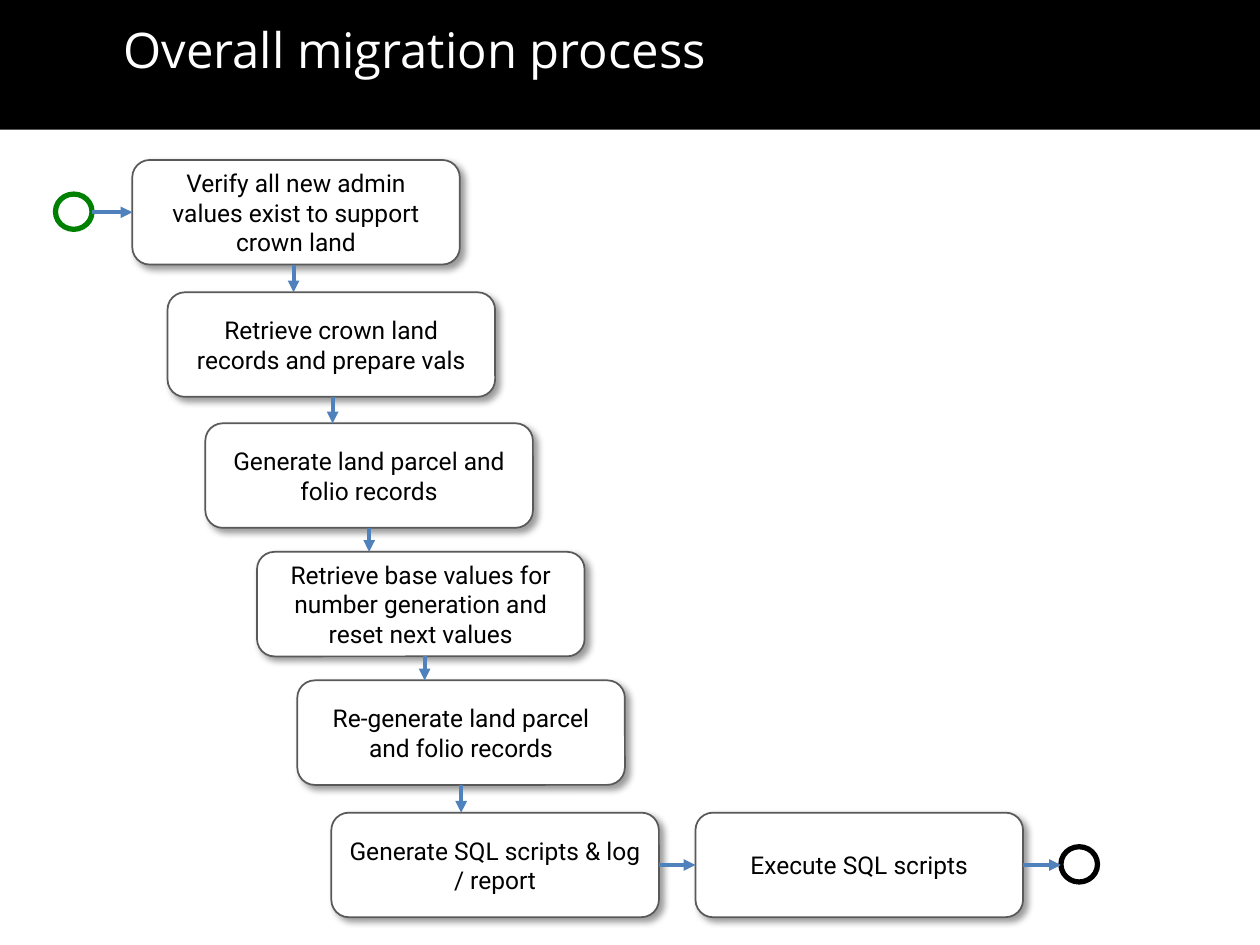
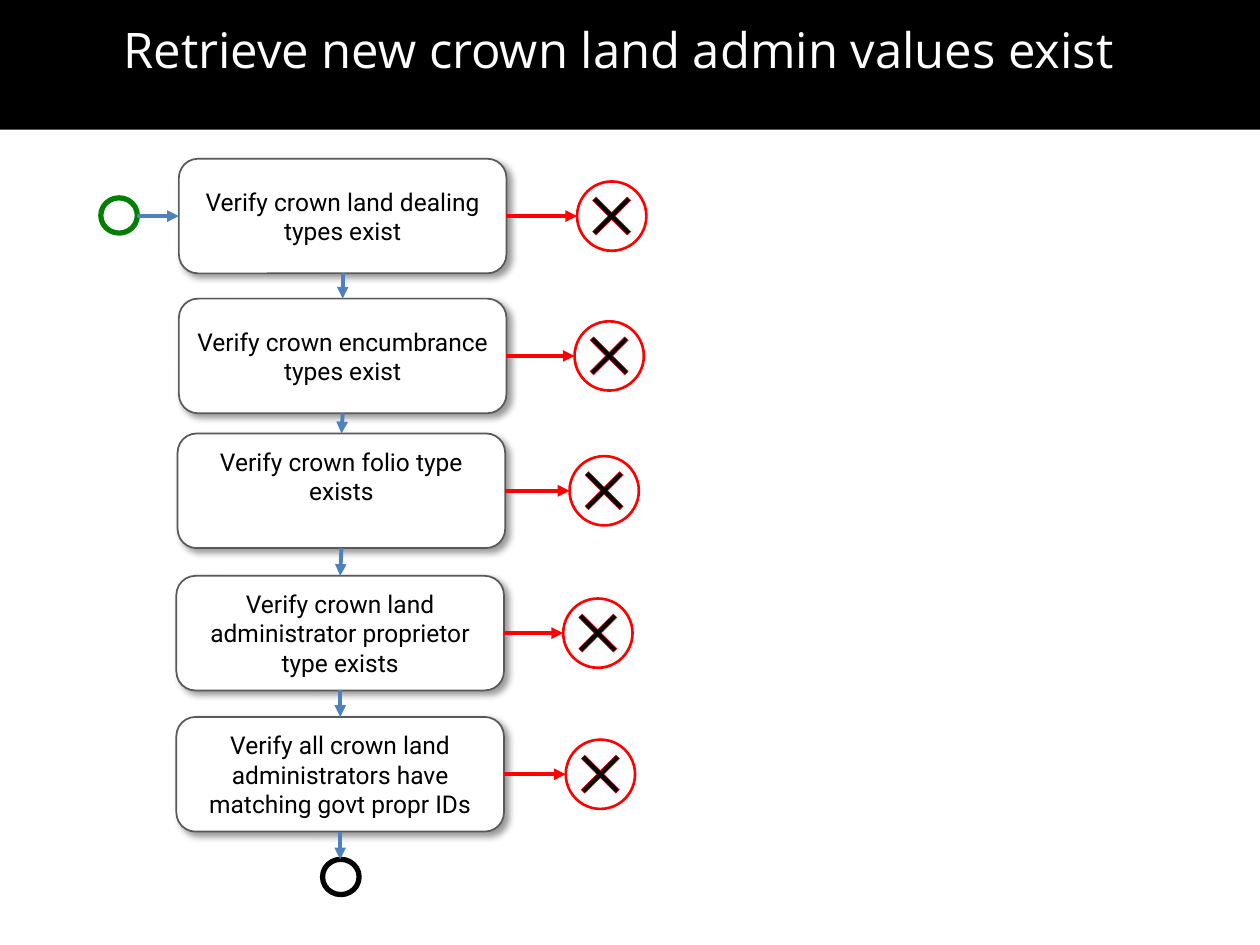
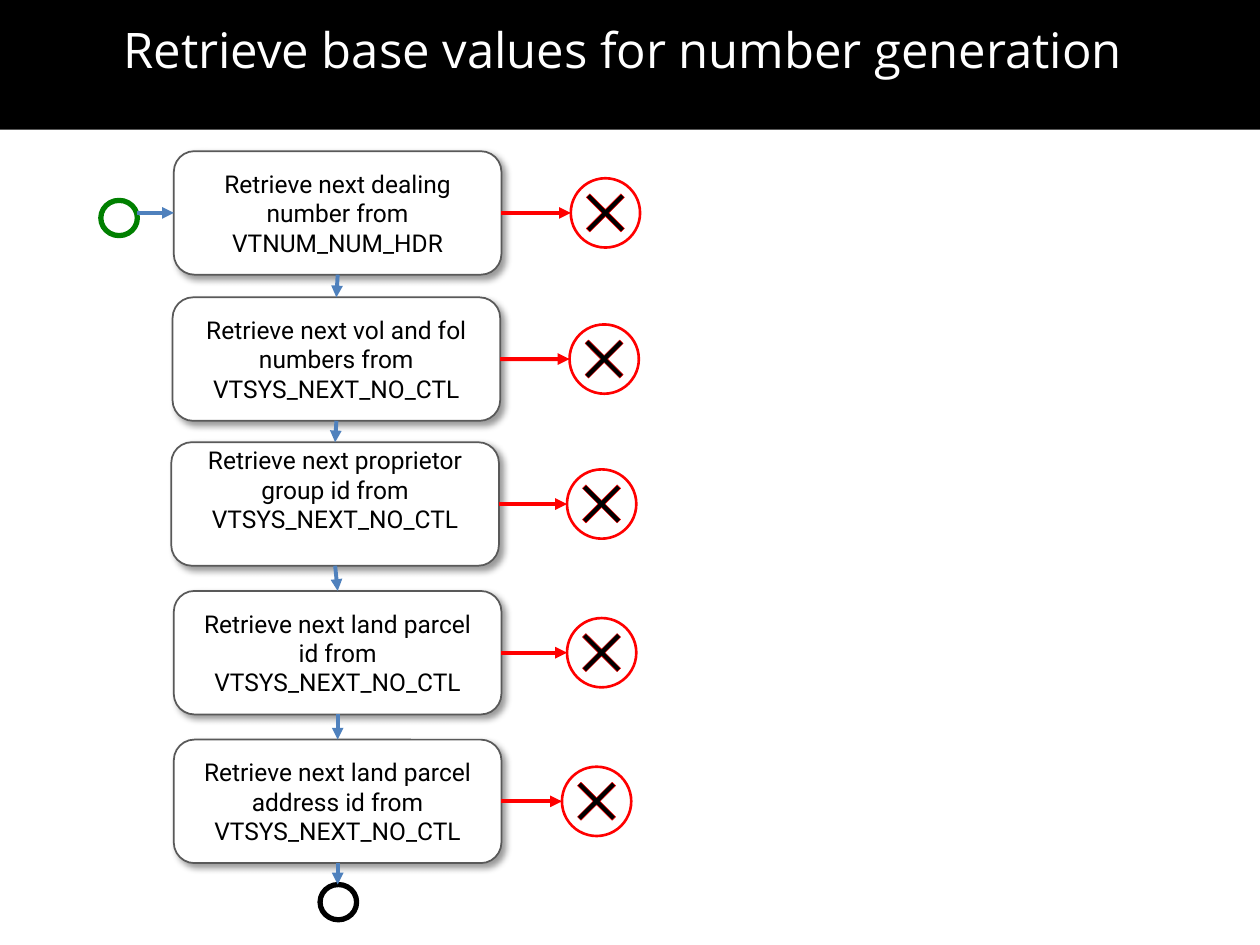
from pptx import Presentation
from pptx.dml.color import RGBColor as RGB
from pptx.enum.shapes import MSO_CONNECTOR as Link, MSO_SHAPE as Kind
from pptx.enum.text import MSO_ANCHOR as Anchor, MSO_AUTO_SIZE as Fit, PP_ALIGN as Align
from pptx.oxml import parse_xml
from pptx.oxml.ns import nsdecls, qn
from pptx.util import Inches, Pt

HUES = {"black": "000000", "white": "FFFFFF", "edge": "595959",
        "flow": "4F81BD", "fail": "FF0000", "start": "008000"}
TOP, LEFT, BOTTOM, RIGHT = range(4)
WIDE = 2.6                  # step box width
RING_W, RING_H = 0.29, 0.28
MARK = 0.55                 # failure circle

# Steps are (left, top, text); "fails" holds the left of each failure mark
PAGES = [
    {"title": "Overall migration process", "high": 0.83,
     "steps": [
         (1.05, 1.27, "Verify all new admin values exist to support crown land"),
         (1.33, 2.32, "Retrieve crown land records and prepare vals"),
         (1.63, 3.36, "Generate land parcel and folio records"),
         (2.04, 4.38, "Retrieve base values for number generation and reset next values"),
         (2.36, 5.4, "Re-generate land parcel and folio records"),
         (2.63, 6.45, "Generate SQL scripts & log / report"),
         (5.52, 6.45, "Execute SQL scripts")],
     "drops": [2.33, 2.64, 2.93, 3.37, 3.66], "fails": [], "lift": None,
     "start": (0.44, 1.54), "end": (8.42, 6.72)},
    {"title": "Retrieve new crown land admin values exist", "high": 0.91,
     "steps": [
         (1.42, 1.26, "Verify crown land dealing types exist"),
         (1.42, 2.37, "Verify crown encumbrance types exist"),
         (1.41, 3.44, "Verify crown folio type exists"),
         (1.4, 4.57, "Verify crown land administrator proprietor type exists"),
         (1.4, 5.69, "Verify all crown land administrators have matching govt propr IDs")],
     "drops": [], "fails": [4.58, 4.56, 4.52, 4.47, 4.49], "lift": 2,
     "start": (0.8, 1.57), "end": (2.56, 6.82)},
    {"title": "Retrieve base values for number generation", "high": 0.98,
     "steps": [
         (1.38, 1.2, "Retrieve next dealing number from VTNUM_NUM_HDR"),
         (1.37, 2.36, "Retrieve next vol and fol numbers from VTSYS_NEXT_NO_CTL"),
         (1.36, 3.51, "Retrieve next proprietor group id from VTSYS_NEXT_NO_CTL"),
         (1.38, 4.69, "Retrieve next land parcel id from VTSYS_NEXT_NO_CTL"),
         (1.38, 5.87, "Retrieve next land parcel address id from VTSYS_NEXT_NO_CTL")],
     "drops": [], "fails": [4.53, 4.52, 4.5, 4.5, 4.46], "lift": 2,
     "start": (0.8, 1.59), "end": (2.54, 7.02)},
]


def draw(shapes, kind, x, y, w, h, fill, line=None, width=1):
    item = shapes.add_shape(kind, Inches(x), Inches(y), Inches(w), Inches(h))
    item.shadow.inherit = False
    item.fill.solid()
    item.fill.fore_color.rgb = RGB.from_string(HUES[fill])
    if line:
        item.line.color.rgb = RGB.from_string(HUES[line])
        item.line.width = Pt(width)
    else:
        item.line.fill.background()
    return item


def arrow(shapes, hue, x1, y1, x2, y2):
    line = shapes.add_connector(Link.STRAIGHT, Inches(x1), Inches(y1), Inches(x2), Inches(y2))
    line.line.color.rgb = RGB.from_string(HUES[hue])
    line.line.width = Pt(2.25)
    line.line._get_or_add_ln().append(
        parse_xml(f'<a:tailEnd {nsdecls("a")} type="triangle"/>'))
    line._element.spPr.append(parse_xml(f'<a:effectLst {nsdecls("a")}/>'))
    return line


deck = Presentation()
deck.slide_width, deck.slide_height = Inches(10), Inches(7.5)

for page in PAGES:
    shapes = deck.slides.add_slide(deck.slide_layouts[6]).shapes
    steps, high = page["steps"], page["high"]

    # Title band
    band = draw(shapes, Kind.RECTANGLE, 0, 0, 10, 1.03, "black")
    frame = band.text_frame
    frame.margin_left = Inches(0.98)
    frame.margin_top = frame.margin_bottom = Inches(0.28)
    frame.vertical_anchor = Anchor.TOP
    frame.auto_size = Fit.SHAPE_TO_FIT_TEXT
    para = frame.paragraphs[0]
    para.text = page["title"]
    para.alignment = Align.LEFT
    para.line_spacing = 0.9
    para.font.name, para.font.size = "Open Sans", Pt(28)
    para.font.color.rgb = RGB.from_string(HUES["white"])

    # Step boxes
    boxes = []
    for i, (x, y, text) in enumerate(steps):
        box = draw(shapes, Kind.ROUNDED_RECTANGLE, x, y, WIDE, high, "white", "edge")
        box._element.spPr.find(qn("a:effectLst")).append(parse_xml(
            f'<a:outerShdw {nsdecls("a")} blurRad="{Pt(4)}" dist="{Pt(3)}" dir="2700000">'
            f'<a:srgbClr val="{HUES["black"]}"><a:alpha val="40000"/></a:srgbClr>'
            '</a:outerShdw>'))
        frame = box.text_frame
        frame.vertical_anchor = Anchor.MIDDLE
        if i == page["lift"]:
            frame.margin_bottom = Inches(0.28)
        para = frame.paragraphs[0]
        para.text = text
        para.alignment = Align.CENTER
        para.font.name, para.font.size = "Roboto", Pt(14)
        para.font.color.rgb = RGB.from_string(HUES["black"])
        boxes.append(box)

    # Arrows from step to step
    for i, (x, y, _) in enumerate(steps[1:]):
        px, py, _ = steps[i]
        if y == py:
            line = arrow(shapes, "flow", px + WIDE, y + high / 2, x, y + high / 2)
            line.begin_connect(boxes[i], RIGHT)
            line.end_connect(boxes[i + 1], LEFT)
        elif page["drops"]:
            drop = page["drops"][i]
            arrow(shapes, "flow", drop, py + high, drop, y)
        else:
            line = arrow(shapes, "flow", px + WIDE / 2, py + high, x + WIDE / 2, y)
            line.begin_connect(boxes[i], BOTTOM)
            line.end_connect(boxes[i + 1], TOP)

    # Failure exits
    for box, (x, y, _), left in zip(boxes, steps, page["fails"]):
        mid = y + high / 2
        line = arrow(shapes, "fail", x + WIDE, mid, left, mid)
        line.begin_connect(box, RIGHT)
        mark = shapes.add_group_shape().shapes
        top = mid - MARK / 2
        draw(mark, Kind.OVAL, left, top, MARK, MARK, "white", "fail", 1.5)
        cross = draw(mark, Kind.MATH_MULTIPLY, left + 0.01, top + 0.01,
                     MARK - 0.02, MARK - 0.02, "black", "fail", 0.25)
        cross.adjustments[0] = 0.074

    # Start and end rings
    for name, hue in (("start", "start"), ("end", "black")):
        draw(shapes, Kind.OVAL, *page[name], RING_W, RING_H, "white", hue, 3)
    x, y = page["start"]
    mid = steps[0][1] + high / 2
    line = arrow(shapes, "flow", x + RING_W, mid, steps[0][0], mid)
    line.end_connect(boxes[0], LEFT)
    x, y = page["end"]
    px, py, _ = steps[-1]
    if y > py + high:
        line = arrow(shapes, "flow", px + WIDE / 2, py + high, px + WIDE / 2, y)
        line.begin_connect(boxes[-1], BOTTOM)
    else:
        mid = py + high / 2
        line = arrow(shapes, "flow", px + WIDE, mid, x, mid)
        line.begin_connect(boxes[-1], RIGHT)

deck.save("out.pptx")
